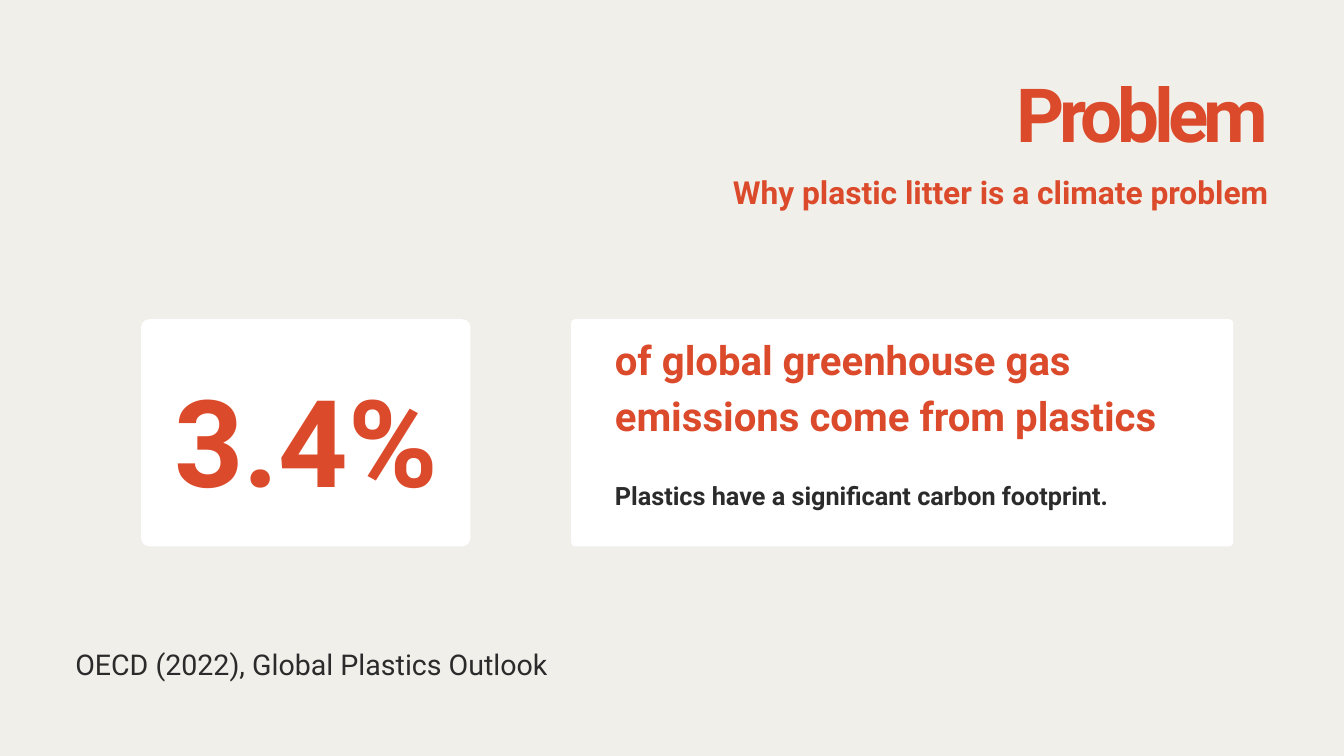
from pptx import Presentation, util as u
from pptx.dml.color import RGBColor
from pptx.enum import shapes, text

THEME = {
    "font": "Roboto",
    "background": RGBColor.from_string("F1EFEA"),
    "card": RGBColor.from_string("FFFFFF"),
    "accent": RGBColor.from_string("DB4A2B"),
    "ink": RGBColor.from_string("2B2B2B"),
    "title": 80, "subtitle": 34, "figure": 130,
    "claim": 43, "detail": 27, "citation": 30.6,
}


def place(box, left, top, width, height):
    box.left, box.top, box.width, box.height = map(u.Inches, (left, top, width, height))
    frame = box.text_frame
    frame.word_wrap = True
    frame.auto_size = text.MSO_AUTO_SIZE.NONE
    frame.vertical_anchor = text.MSO_ANCHOR.TOP
    frame.margin_left = frame.margin_top = frame.margin_right = frame.margin_bottom = 0
    return frame


def write(paragraph, words, role, color, leading, align=text.PP_ALIGN.LEFT, bold=True):
    paragraph.text = words
    paragraph.alignment = align
    paragraph.line_spacing = u.Pt(leading)
    paragraph.space_before = u.Pt(0)
    font = paragraph.font
    font.name, font.size, font.bold = THEME["font"], u.Pt(THEME[role]), bold
    font.color.rgb = THEME[color]


deck = Presentation()
deck.slide_width, deck.slide_height = u.Inches(20), u.Inches(11.25)
slide = deck.slides.add_slide(deck.slide_layouts[5])
slide.background.fill.solid()
slide.background.fill.fore_color.rgb = THEME["background"]

# Title, with tight letter spacing
title = place(slide.shapes.title, 9.66, 1.46, 9.22, 1).paragraphs[0]
write(title, "Problem", "title", "accent", 64, text.PP_ALIGN.RIGHT)
title.runs[0]._r.get_or_add_rPr().set("spc", "-560")

# White cards
card_top, card_height = 4.75, 3.38
for left, width, radius in ((2.1, 4.9, 0.12), (8.5, 9.85, 0.06)):
    card = slide.shapes.add_shape(
        shapes.MSO_SHAPE.ROUNDED_RECTANGLE,
        u.Inches(left), u.Inches(card_top), u.Inches(width), u.Inches(card_height))
    card.adjustments[0] = radius / card_height
    card.shadow.inherit = False
    card.fill.solid()
    card.fill.fore_color.rgb = THEME["card"]
    card.line.fill.background()

# Subtitle, key figure and citation
for area, words, role, color, leading, align, bold in (
    ((5.15, 2.48, 13.73, 0.63), "Why plastic litter is a climate problem",
     "subtitle", "accent", 47.6, text.PP_ALIGN.RIGHT, True),
    ((2.31, 5.09, 4.49, 2.43), "3.4%",
     "figure", "accent", 182, text.PP_ALIGN.CENTER, True),
    ((1.12, 9.54, 17.75, 0.58), "OECD (2022), Global Plastics Outlook",
     "citation", "ink", 42.8, text.PP_ALIGN.LEFT, False),
):
    frame = place(slide.shapes.add_textbox(0, 0, 0, 0), *area)
    write(frame.paragraphs[0], words, role, color, leading, align, bold)

# Explanation of the figure
explanation = place(slide.shapes.add_textbox(0, 0, 0, 0), 9.15, 4.87, 8.53, 2.7)
write(explanation.paragraphs[0], "of global greenhouse gas emissions come from plastics",
      "claim", "accent", 60.2)
detail = explanation.add_paragraph()
write(detail, "Plastics have a significant carbon footprint.", "detail", "ink", 37.8)
detail.space_before = u.Pt(37.8)

deck.save("out.pptx")
